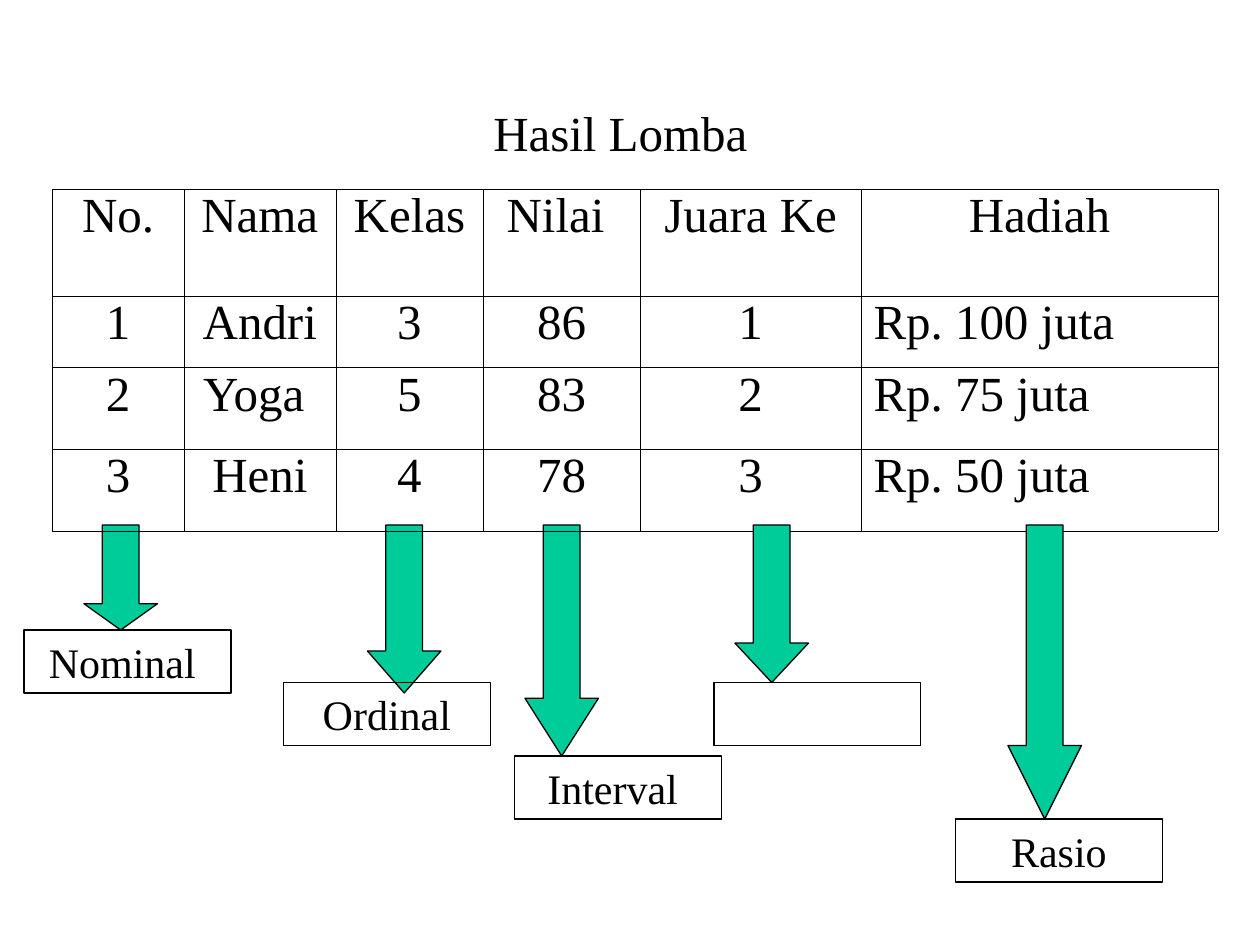
import pptx
import pptx.util
import pptx.dml.color
import pptx.enum.shapes
import pptx.enum.text
import pptx.oxml
import pptx.oxml.ns

BLACK = pptx.dml.color.RGBColor(0x00, 0x00, 0x00)
GREEN = pptx.dml.color.RGBColor(0x00, 0xCC, 0x99)
FONT = "Times New Roman"
UNIT = pptx.util.Inches(10) / 120
CENTER = pptx.enum.text.PP_ALIGN.CENTER
LEFT = pptx.enum.text.PP_ALIGN.LEFT
MIDDLE = pptx.enum.text.MSO_ANCHOR.MIDDLE
SHAPES = pptx.enum.shapes.MSO_SHAPE

COLUMN_UNITS = (12.5, 14.5, 14, 15, 21, 34)
ROW_UNITS = (10.2, 6.8, 7.8, 7.8)
RESULTS = (
    ("No.", "Nama", "Kelas", "Nilai ", "Juara Ke", "Hadiah"),
    ("1", "Andri", "3", "86", "1", "Rp. 100 juta"),
    ("2", "Yoga ", "5", "83", "2", "Rp. 75 juta"),
    ("3", "Heni", "4", "78", "3", "Rp. 50 juta"),
)

ARROW_TOP, ARROW_WIDTH = 50, 7
LABEL_WIDTH, LABEL_HEIGHT = 19.7, 6
ARROWS_BEHIND = ((8, 10), (35, 16), (50, 22))
ARROWS_IN_FRONT = ((70, 15), (96, 28))
SCALE_LABELS = (
    ("Nominal ", 2.3, 60),
    ("Ordinal", 27, 65),
    ("Interval ", 49, 72),
    ("", 68, 65),
    ("Rasio", 91, 78),
)


def place(*units):
    return [round(unit * UNIT) for unit in units]


def style(paragraph, size, alignment=CENTER):
    paragraph.alignment = alignment
    paragraph.font.name = FONT
    paragraph.font.size = pptx.util.Pt(size)
    paragraph.font.color.rgb = BLACK


def outline(shape):
    shape.shadow.inherit = False
    shape.line.color.rgb = BLACK
    shape.line.width = pptx.util.Pt(0.75)


def add_title(slide, box):
    title = slide.shapes.title
    title.left, title.top, title.width, title.height = place(*box)
    frame = title.text_frame
    frame.auto_size = pptx.enum.text.MSO_AUTO_SIZE.NONE
    frame.vertical_anchor = MIDDLE
    heading = frame.paragraphs[0]
    style(heading, 44)
    heading.add_run().text = "Hasil Lomba"
    heading.add_run().text = " "
    heading.runs[0].font.size = pptx.util.Pt(28)


def add_borders(cell, sides):
    properties = cell._tc.get_or_add_tcPr()
    for position, (side, points) in enumerate(sides.items()):
        border = pptx.oxml.parse_xml(
            f'<a:{side} {pptx.oxml.ns.nsdecls("a")} w="{pptx.util.Pt(points)}">'
            f'<a:solidFill><a:srgbClr val="{BLACK}"/></a:solidFill></a:{side}>'
        )
        properties.insert(position, border)


def add_results(slide, left, top):
    rows, columns = len(ROW_UNITS), len(COLUMN_UNITS)
    box = place(left, top, sum(COLUMN_UNITS), sum(ROW_UNITS))
    results = slide.shapes.add_table(rows, columns, *box).table
    results.first_row = results.horz_banding = False
    for column, width in zip(results.columns, place(*COLUMN_UNITS)):
        column.width = width
    for row, height in zip(results.rows, place(*ROW_UNITS)):
        row.height = height
    for r, values in enumerate(RESULTS):
        for c, value in enumerate(values):
            cell = results.cell(r, c)
            cell.text = value
            cell.fill.background()
            is_prize = r > 0 and c == columns - 1
            entry = cell.text_frame.paragraphs[0]
            style(entry, 28, LEFT if is_prize else CENTER)
            entry.line_spacing = 0.86
            on_edge = {"lnL": c == 0, "lnR": c == columns - 1,
                       "lnT": r == 0, "lnB": r == rows - 1}
            add_borders(cell, {side: 0.23 if edge else 0.11
                               for side, edge in on_edge.items()})


def add_arrows(slide, arrows):
    for left, length in arrows:
        arrow = slide.shapes.add_shape(
            SHAPES.DOWN_ARROW, *place(left, ARROW_TOP, ARROW_WIDTH, length))
        arrow.adjustments[0] = 0.5
        arrow.adjustments[1] = length / 4 / ARROW_WIDTH
        arrow.fill.solid()
        arrow.fill.fore_color.rgb = GREEN
        outline(arrow)


def add_scale_label(slide, name, left, top):
    label = slide.shapes.add_shape(
        SHAPES.RECTANGLE, *place(left, top, LABEL_WIDTH, LABEL_HEIGHT))
    label.fill.background()
    outline(label)
    if name:
        frame = label.text_frame
        frame.word_wrap = True
        frame.vertical_anchor = MIDDLE
        frame.text = name
        style(frame.paragraphs[0], 24)


def main():
    deck = pptx.Presentation()
    deck.slide_width = pptx.util.Inches(10)
    deck.slide_height = pptx.util.Inches(7.5)
    slide = deck.slides.add_slide(deck.slide_layouts[5])
    add_arrows(slide, ARROWS_BEHIND)
    add_title(slide, (9, 8, 102, 7))
    add_results(slide, 5, 18)
    add_arrows(slide, ARROWS_IN_FRONT)
    for name, left, top in SCALE_LABELS:
        add_scale_label(slide, name, left, top)
    deck.save("out.pptx")


if __name__ == "__main__":
    main()
